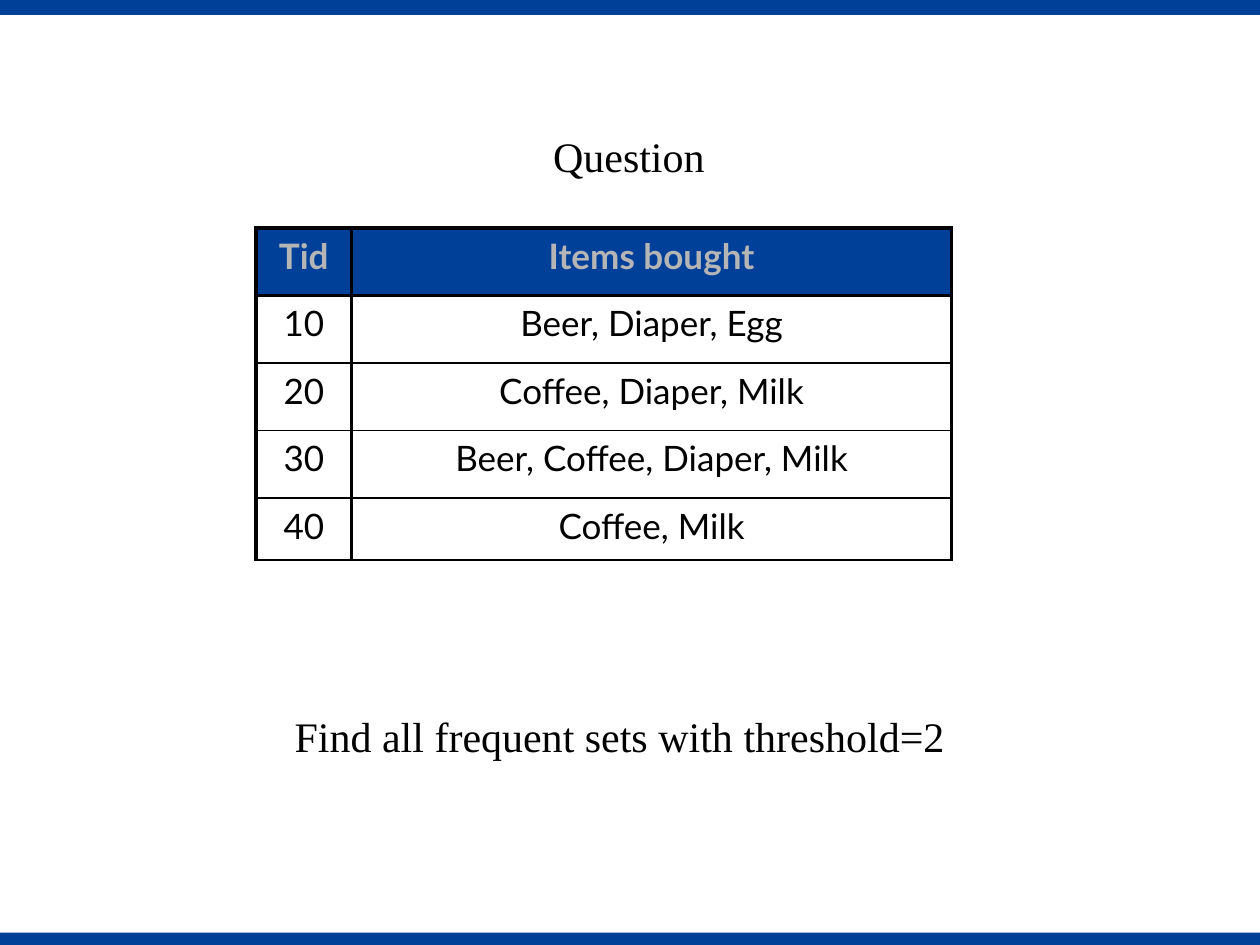
"""Build the frequent item sets question slide."""
from dataclasses import dataclass

from lxml.etree import SubElement
from pptx import Presentation
from pptx.dml.color import RGBColor
from pptx.enum.shapes import MSO_SHAPE as Preset
from pptx.enum.text import MSO_AUTO_SIZE as AutoSize, PP_ALIGN as Align
from pptx.oxml.ns import qn
from pptx.util import Cm, Pt

BLUE, BLACK, GREY = "004098", "000000", "B5B5B6"
THICK, THIN = 2.25, 1


@dataclass
class Bar:
    top: float
    height: float


@dataclass
class Label:
    text: str
    left: float
    top: float
    width: float
    wrap: bool


BARS = [Bar(18.8, 0.25), Bar(0, 0.3)]
LABELS = [
    Label("Find all frequent sets with threshold=2", 5.69, 14.2, 14.02, True),
    Label("Question", 10.9, 2.51, 3.61, False),
]
TRANSACTIONS = [
    ("Tid", "Items bought"),
    ("10", "Beer, Diaper, Egg"),
    ("20", "Coffee, Diaper, Milk"),
    ("30", "Beer, Coffee, Diaper, Milk"),
    ("40", "Coffee, Milk"),
]
COLUMN_WIDTHS = [1.93, 12.09]
ROW_HEIGHTS = [1.36, 1.36, 1.36, 1.36, 1.25]


def colour(value: str) -> RGBColor:
    return RGBColor.from_string(value)


def style_font(para, name: str, size: int, value: str, bold: bool = False) -> None:
    font = para.font
    font.name, font.size, font.bold = name, Pt(size), bold
    font.color.rgb = colour(value)


def draw_bar(page, bar: Bar) -> None:
    shape = page.shapes.add_shape(
        Preset.RECTANGLE, Cm(0), Cm(bar.top), Cm(25.4), Cm(bar.height))
    shape.shadow.inherit = False
    shape.fill.solid()
    shape.fill.fore_color.rgb = colour(BLUE)
    shape.line.fill.background()


def draw_label(page, label: Label) -> None:
    box = page.shapes.add_textbox(
        Cm(label.left), Cm(label.top), Cm(label.width), Cm(1.27))
    frame = box.text_frame
    frame.word_wrap = label.wrap
    frame.auto_size = AutoSize.SHAPE_TO_FIT_TEXT
    para = frame.paragraphs[0]
    para.text = label.text
    style_font(para, "Times New Roman", 24, BLACK)


def set_borders(cell, top: float, bottom: float) -> None:
    properties = cell._tc.get_or_add_tcPr()
    widths = {"a:lnL": THICK, "a:lnR": THICK, "a:lnT": top, "a:lnB": bottom}
    for tag, width in widths.items():
        line = SubElement(properties, qn(tag), w=str(Pt(width)))
        fill = SubElement(line, qn("a:solidFill"))
        SubElement(fill, qn("a:srgbClr"), val=BLACK)


def fill_cell(cell, text: str, header: bool, below_header: bool) -> None:
    set_borders(cell, THICK if header or below_header else THIN,
                THICK if header else THIN)
    if header:
        cell.fill.solid()
        cell.fill.fore_color.rgb = colour(BLUE)
    else:
        cell.fill.background()
    para = cell.text_frame.paragraphs[0]
    para.text = text
    para.alignment = Align.CENTER
    spacing = SubElement(para._p.get_or_add_pPr(), qn("a:spcBef"))
    SubElement(spacing, qn("a:spcPct"), val="20000")
    style_font(para, "Lato", 20, GREY if header else BLACK, header)


def draw_table(page) -> None:
    table = page.shapes.add_table(
        len(TRANSACTIONS), len(COLUMN_WIDTHS), Cm(5.16), Cm(4.6),
        Cm(sum(COLUMN_WIDTHS)), Cm(sum(ROW_HEIGHTS))).table
    table.first_row = table.horz_banding = False
    for column, width in zip(table.columns, COLUMN_WIDTHS):
        column.width = Cm(width)
    for index, (row, height) in enumerate(zip(table.rows, ROW_HEIGHTS)):
        row.height = Cm(height)
        for cell, text in zip(row.cells, TRANSACTIONS[index]):
            fill_cell(cell, text, index == 0, index == 1)


def main() -> None:
    deck = Presentation()
    deck.slide_width, deck.slide_height = Cm(25.4), Cm(19.05)
    page = deck.slides.add_slide(deck.slide_layouts[6])
    for bar in BARS:
        draw_bar(page, bar)
    draw_table(page)
    for label in LABELS:
        draw_label(page, label)
    deck.save("out.pptx")


if __name__ == "__main__":
    main()
